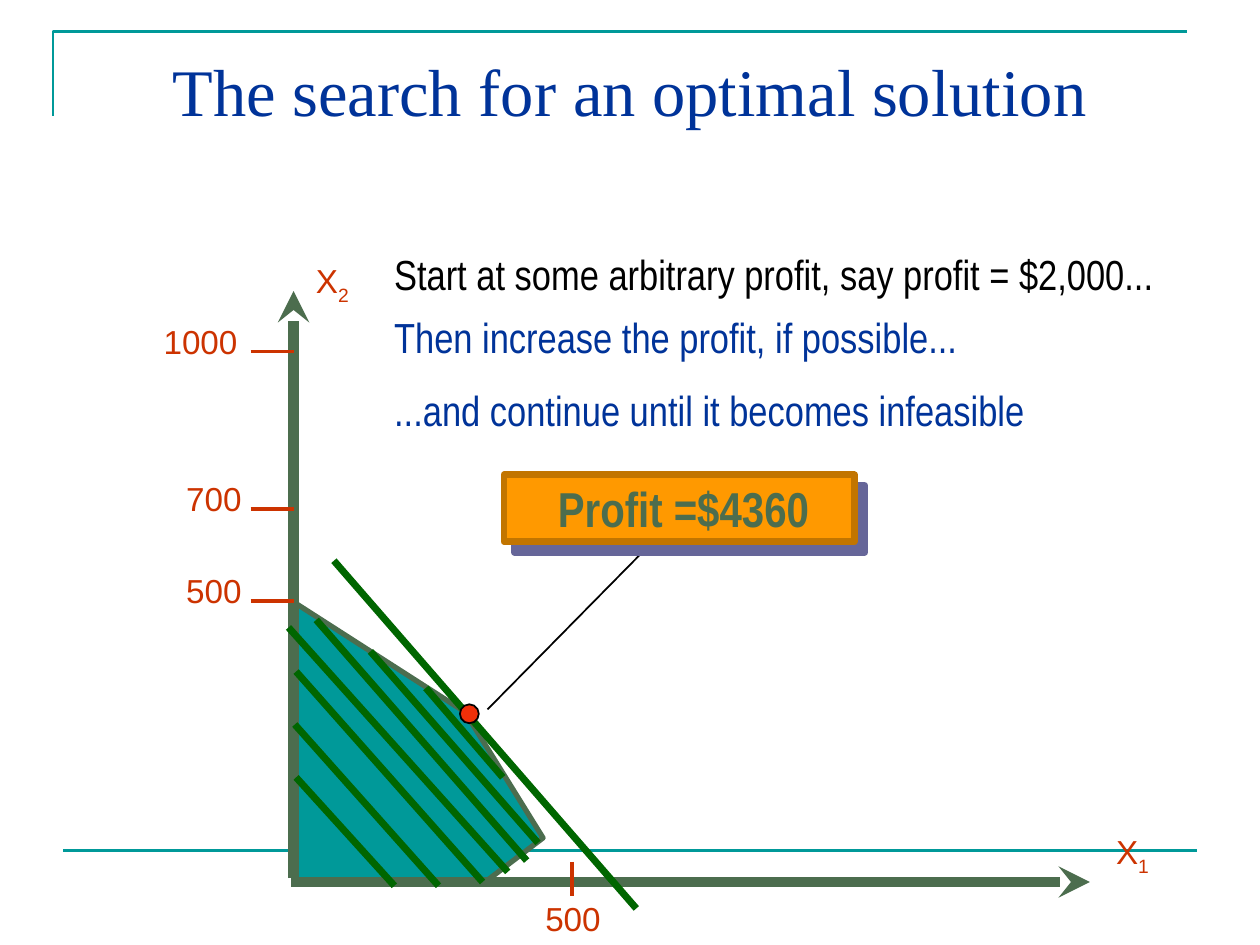
from typing import NamedTuple

from lxml.etree import SubElement
from pptx import Presentation
from pptx.dml.color import RGBColor
from pptx.enum.shapes import MSO_CONNECTOR, MSO_SHAPE
from pptx.enum.text import MSO_ANCHOR, PP_ALIGN
from pptx.oxml.ns import qn
from pptx.util import Cm, Pt

TEAL, MOSS, GREEN, RUST = "009999", "4C6D4E", "006600", "CC3300"
NAVY, BLACK = "003399", "000000"


class Line(NamedTuple):
    """A straight line between two points, in inches."""
    x1: float
    y1: float
    x2: float
    y2: float
    color: str
    width: float
    arrow: bool = False


class Label(NamedTuple):
    """A text box with an optional subscript, in inches."""
    text: str
    left: float
    top: float
    width: float
    height: float
    size: float
    font: str
    color: str
    sub: str = ""
    bold: bool = False
    wrap: bool = False
    align: PP_ALIGN = PP_ALIGN.LEFT
    inset: float = 0.05


def inch(value: float) -> Cm:
    """Turn inches into a length."""
    return Cm(value * 2.54)


def paint(target, color: str) -> None:
    """Set a solid colour on a fill or a line's fill."""
    target.solid()
    target.fore_color.rgb = RGBColor.from_string(color)


def style(shape, fill: str, edge: str, width: float) -> None:
    """Give a shape its fill and outline, without a shadow."""
    shape.shadow.inherit = False
    if fill:
        paint(shape.fill, fill)
    else:
        shape.fill.background()
    paint(shape.line.fill, edge)
    shape.line.width = Pt(width)


def draw_line(slide, item: Line) -> None:
    """Draw one straight line."""
    ends = [inch(v) for v in item[:4]]
    link = slide.shapes.add_connector(MSO_CONNECTOR.STRAIGHT, *ends)
    paint(link.line.fill, item.color)
    link.line.width = Pt(item.width)
    if item.arrow:
        SubElement(link.line._get_or_add_ln(), qn("a:tailEnd"), type="stealth")
    SubElement(link._element.spPr, qn("a:effectLst"))


def draw_path(slide, points: list, fill: str, edge: str, width: float) -> None:
    """Draw an open outline through the points."""
    spots = [(inch(x), inch(y)) for x, y in points]
    form = slide.shapes.build_freeform(*spots[0])
    form.add_line_segments(spots[1:], close=False)
    style(form.convert_to_shape(), fill, edge, width)


def draw_shape(slide, kind: MSO_SHAPE, box: tuple, fill: str, edge: str, width: float):
    """Draw a preset shape and return it."""
    shape = slide.shapes.add_shape(kind, *[inch(v) for v in box])
    style(shape, fill, edge, width)
    return shape


def add_shade(shape, color: str, gap: float) -> None:
    """Cast a hard shadow to the lower right."""
    list_ = shape._element.spPr.find(qn("a:effectLst"))
    shade = SubElement(list_, qn("a:outerShdw"), dist=str(Pt(gap)),
                       dir="2700000", algn="ctr", rotWithShape="0")
    SubElement(shade, qn("a:srgbClr"), val=color)


def draw_label(slide, item: Label) -> None:
    """Draw one text box, run by run."""
    box = slide.shapes.add_textbox(*[inch(v) for v in item[1:5]])
    frame = box.text_frame
    frame.word_wrap = item.wrap
    frame.vertical_anchor = MSO_ANCHOR.TOP
    frame.margin_top = inch(item.inset)
    para = frame.paragraphs[0]
    para.alignment = item.align
    for text in filter(None, (item.text, item.sub)):
        run = para.add_run()
        run.text = text
        run.font.name = item.font
        run.font.size = Pt(item.size)
        run.font.bold = item.bold
        paint(run.font.fill, item.color)
    if item.sub:
        run._r.get_or_add_rPr().set("baseline", "-25000")


def mark(text: str, left: float, top: float, width: float = 0.64,
         height: float = 0.42, sub: str = "") -> Label:
    """Make an axis label."""
    return Label(text, left, top, width, height, 19, "Arial", RUST, sub)


def note(text: str, top: float, width: float, color: str) -> Label:
    """Make a line of explanation."""
    return Label(text, 3.03, top, width, 0.5, 24, "Arial Narrow", color)


FRAME = [(0.42, 0.92), (0.42, 0.25), (9.42, 0.25)]
REGION = [(2.33, 6.96), (2.35, 4.79), (3.69, 5.65), (4.31, 6.65), (3.85, 7)]
TITLE = Label("The search for an optimal solution", 0.5, 0.3, 9, 1.25, 38,
              "Times New Roman", NAVY, wrap=True, align=PP_ALIGN.CENTER, inset=0.1)
AXES = [Line(2.33, 6.97, 2.33, 2.31, MOSS, 6, True),
        Line(2.31, 7, 8.65, 7, MOSS, 6, True)]
NOTES = [
    note("Start at some arbitrary profit, say profit = $2,000...", 1.92, 6.23, BLACK),
    note("Then increase the profit, if possible...", 2.42, 4.67, NAVY),
    note("...and continue until it becomes infeasible", 3, 5.2, NAVY),
]
PROFITS = [
    (2.35, 6.17, 3.13, 7.03), (2.34, 5.75, 3.48, 7.03),
    (2.35, 5.33, 3.83, 7), (2.29, 4.98, 4.03, 6.92),
    (2.51, 4.92, 4.18, 6.83), (2.94, 5.17, 4.27, 6.69),
    (3.38, 5.46, 3.99, 6.17), (2.65, 4.45, 5.05, 7.21),
]
ANSWER = Label("Profit =$4360", 4.33, 3.75, 2.33, 0.57, 28, "Arial Narrow",
               MOSS, bold=True, wrap=True)
TICKS = [Line(1.99, y, 2.33, y, RUST, 2) for y in (4.77, 2.79, 4.04)]
TICKS.append(Line(4.54, 6.84, 4.54, 7.11, RUST, 2))
MARKS = [
    mark("500", 1.38, 4.48), mark("700", 1.38, 3.75),
    mark("1000", 1.2, 2.5, 0.79), mark("500", 4.23, 7.08),
    mark("X", 2.41, 2.02, 0.46, 0.46, "2"),
    mark("X", 8.76, 6.55, 0.46, 0.46, "1"),
]


def main() -> None:
    """Build and save the slide."""
    deck = Presentation()
    deck.slide_width, deck.slide_height = Cm(25.4), Cm(19.05)
    slide = deck.slides.add_slide(deck.slide_layouts[6])
    paint(slide.background.fill, "FFFFFF")
    draw_path(slide, FRAME, "", TEAL, 1.5)
    draw_line(slide, Line(0.5, 6.75, 9.5, 6.75, TEAL, 1.5))
    draw_path(slide, REGION, TEAL, MOSS, 3)
    draw_label(slide, TITLE)
    for axis in AXES:
        draw_line(slide, axis)
    for item in NOTES:
        draw_label(slide, item)
    for ends in PROFITS:
        draw_line(slide, Line(*ends, GREEN, 4))
    draw_shape(slide, MSO_SHAPE.OVAL, (3.65, 5.59, 0.15, 0.15), "EF2F09", BLACK, 1)
    draw_line(slide, Line(3.87, 5.63, 5.21, 4.27, BLACK, 1))
    card = draw_shape(slide, MSO_SHAPE.RECTANGLE, (4, 3.77, 2.78, 0.53),
                      "FF9900", "C27500", 4)
    add_shade(card, "666699", 8.5)
    draw_label(slide, ANSWER)
    for tick in TICKS:
        draw_line(slide, tick)
    for item in MARKS:
        draw_label(slide, item)
    deck.save("out.pptx")


if __name__ == "__main__":
    main()
